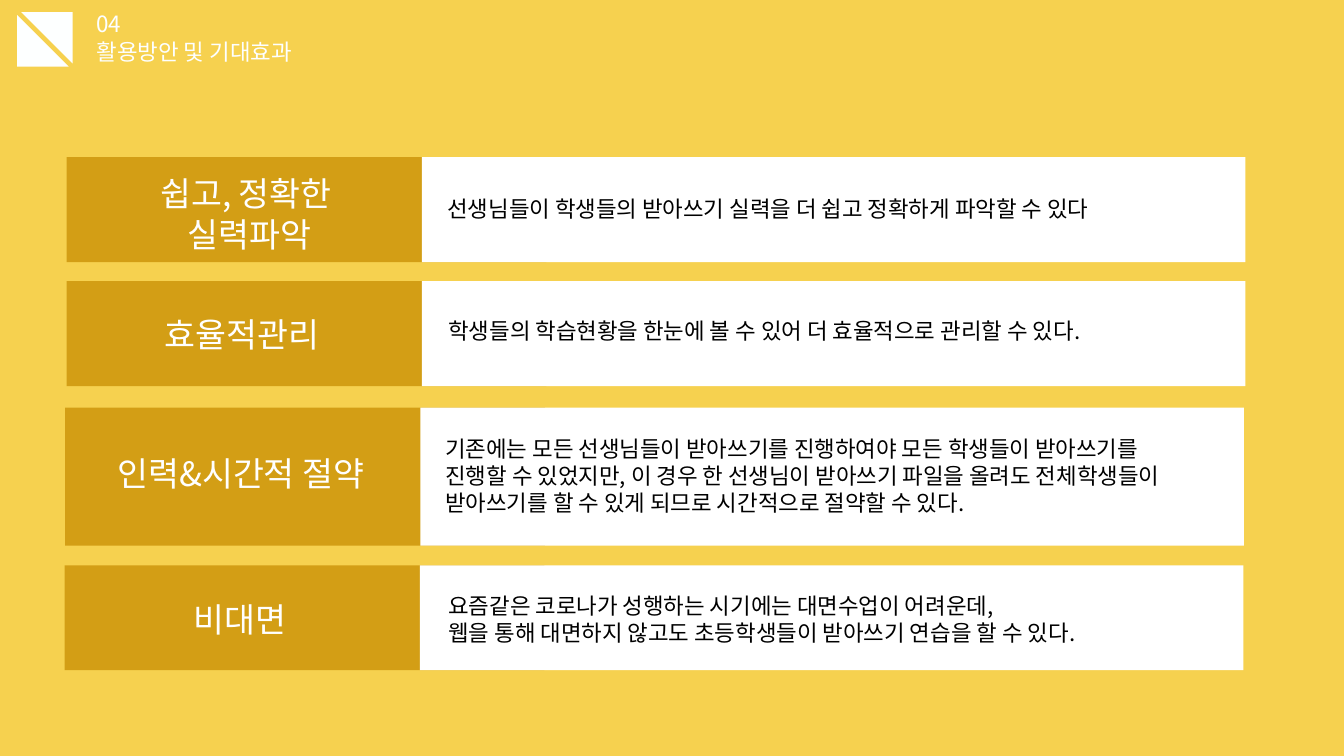
from dataclasses import dataclass

from lxml import etree
from pptx import Presentation
from pptx import util as u
from pptx.dml import color
from pptx.enum import shapes, text
from pptx.oxml import ns


@dataclass(frozen=True)
class Theme:
    font: str = "Noto Sans CJK KR"
    background: str = "F6D14F"
    label_fill: str = "D39E15"
    body_fill: str = "FFFFFF"
    mark: str = "FDFFFF"
    label_text: str = "FFFFFF"
    body_text: str = "000000"
    body_size: int = 16
    label_size: int = 24


@dataclass(frozen=True)
class Card:
    area: tuple
    label_area: tuple
    label: tuple
    body_area: tuple
    body: tuple


class SlideBuilder:
    COLUMNS = 80
    ROWS = 45

    def __init__(self, presentation, theme):
        self.theme = theme
        self.column = presentation.slide_width / self.COLUMNS
        self.row = presentation.slide_height / self.ROWS
        self.slide = presentation.slides.add_slide(presentation.slide_layouts[5])
        fill = self.slide.background.fill
        fill.solid()
        fill.fore_color.rgb = color.RGBColor.from_string(theme.background)

    def place(self, left, top, width, height):
        return [round(left * self.column), round(top * self.row),
                round(width * self.column), round(height * self.row)]

    def block(self, kind, area, fill, rotation=0):
        shape = self.slide.shapes.add_shape(kind, *self.place(*area))
        shape.shadow.inherit = False
        shape.fill.solid()
        shape.fill.fore_color.rgb = color.RGBColor.from_string(fill)
        shape.line.fill.background()
        shape.rotation = rotation

    def fill_text(self, shape, lines, size, ink, align=text.PP_ALIGN.LEFT):
        frame = shape.text_frame
        frame.word_wrap = True
        frame.auto_size = text.MSO_AUTO_SIZE.NONE
        frame.vertical_anchor = text.MSO_ANCHOR.TOP
        for index, line in enumerate(lines):
            paragraph = frame.add_paragraph() if index else frame.paragraphs[0]
            paragraph.alignment = align
            run = paragraph.add_run()
            run.text = line
            run.font.size = u.Pt(size)
            run.font.name = self.theme.font
            run.font.color.rgb = color.RGBColor.from_string(ink)
            east_asian = etree.SubElement(run.font._element, ns.qn("a:ea"))
            east_asian.set("typeface", self.theme.font)

    def title(self, area, line):
        shape = self.slide.shapes.title
        shape.left, shape.top, shape.width, shape.height = self.place(*area)
        self.fill_text(shape, [line], self.theme.body_size, self.theme.mark)

    def textbox(self, area, *style):
        shape = self.slide.shapes.add_textbox(*self.place(*area))
        self.fill_text(shape, *style)

    def card(self, card):
        theme = self.theme
        left, top, height = card.area
        rectangle = shapes.MSO_SHAPE.RECTANGLE
        self.block(rectangle, (left, top, 28.56, height), theme.label_fill)
        self.block(rectangle, (left + 21.15, top, 49.02, height), theme.body_fill)
        label_left, label_top, label_height = card.label_area
        self.textbox((label_left, label_top, 18.24, label_height), card.label,
                     theme.label_size, theme.label_text, text.PP_ALIGN.CENTER)
        body_left, body_top, body_height = card.body_area
        self.textbox((body_left, body_top, 45.78, body_height), card.body,
                     theme.body_size, theme.body_text)


CARDS = [
    Card((3.96, 9.36, 6.24),
         (5.52, 10.02, 5.46), ("쉽고, 정확한", " 실력파악"),
         (26.04, 11.34, 2.22),
         ("선생님들이 학생들의 받아쓰기 실력을 더 쉽고 정확하게 파악할 수 있다",)),
    Card((3.96, 16.74, 6.24),
         (5.28, 18.36, 5.46), ("효율적관리",),
         (26.1, 18.6, 2.22),
         ("학생들의 학습현황을 한눈에 볼 수 있어 더 효율적으로 관리할 수 있다.",)),
    Card((3.87, 24.27, 8.22),
         (5.22, 26.64, 7.2), ("인력&시간적 절약",),
         (25.92, 25.62, 7.2),
         ("기존에는 모든 선생님들이 받아쓰기를 진행하여야 모든 학생들이 받아쓰기를 "
          "진행할 수 있었지만, 이 경우 한 선생님이 받아쓰기 파일을 올려도 전체학생들이 "
          "받아쓰기를 할 수 있게 되므로 시간적으로 절약할 수 있다.",)),
    Card((3.84, 33.66, 6.24),
         (5.16, 35.34, 5.46), ("비대면",),
         (26.1, 34.98, 5.46),
         ("요즘같은 코로나가 성행하는 시기에는 대면수업이 어려운데,",
          "웹을 통해 대면하지 않고도 초등학생들이 받아쓰기 연습을 할 수 있다.")),
]


def main():
    presentation = Presentation()
    presentation.slide_width = u.Inches(13.33)
    presentation.slide_height = u.Inches(7.5)
    theme = Theme()
    builder = SlideBuilder(presentation, theme)
    for left, top, rotation in ((1.02, 0.9, 0), (1.26, 0.72, 180)):
        builder.block(shapes.MSO_SHAPE.RIGHT_TRIANGLE, (left, top, 3.06, 3.06),
                      theme.mark, rotation)
    builder.textbox((5.16, 0.3, 4.44, 2.22), ["04"], theme.body_size, theme.mark)
    builder.title((5.16, 1.98, 15.48, 2.22), "활용방안 및 기대효과")
    for card in CARDS:
        builder.card(card)
    presentation.save("out.pptx")


if __name__ == "__main__":
    main()
